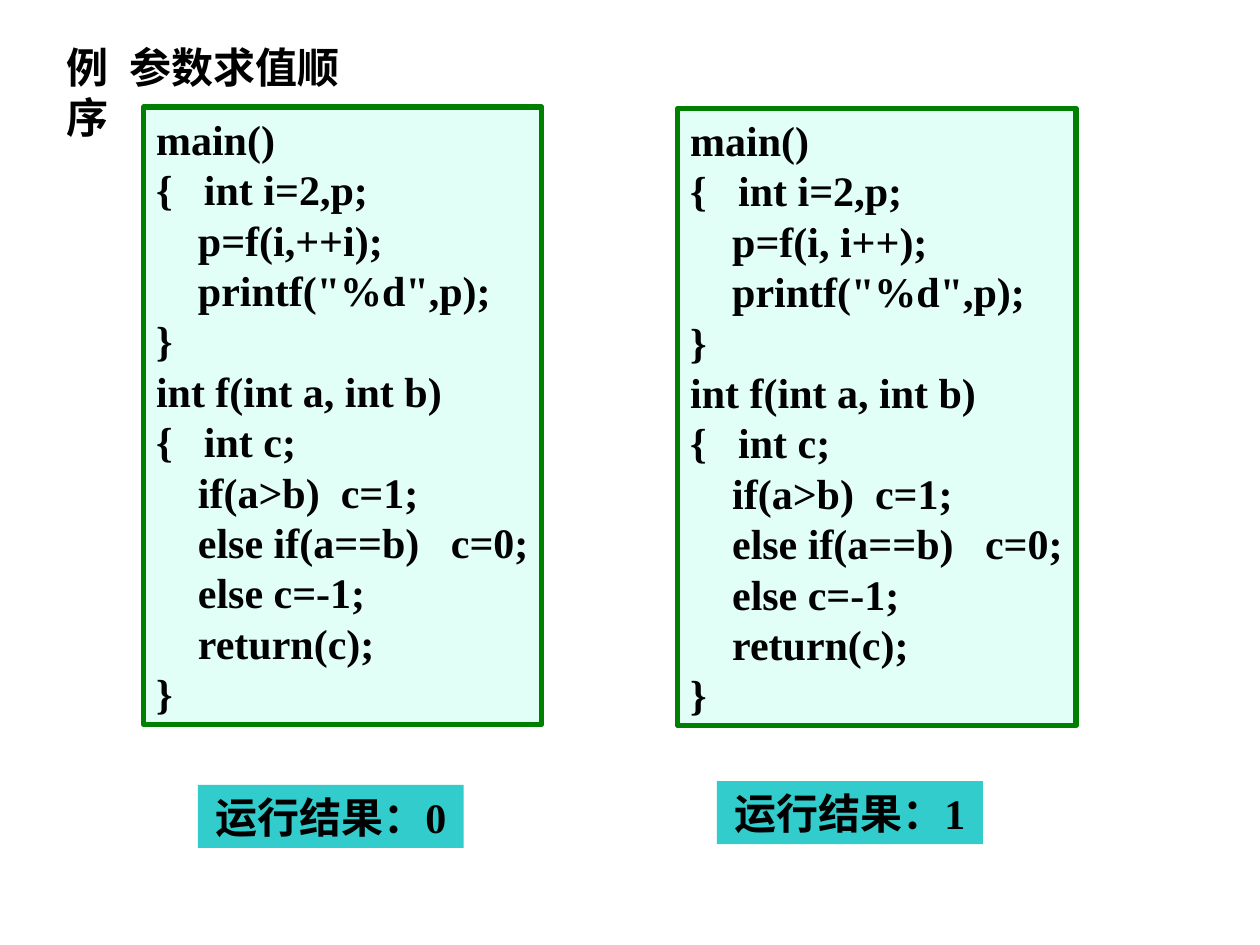
"""Build a slide comparing argument evaluation order in two C programs."""
from lxml import etree
from pptx import Presentation
from pptx import util as u
from pptx.dml.color import RGBColor
from pptx.enum import shapes, text
from pptx.oxml.ns import qn


def rgb(value):
    return RGBColor.from_string(value)


def add_box(s, x, y, w, h, content, fill=None, line=None, centered=False, tab=None):
    sp = s.shapes.add_shape(shapes.MSO_SHAPE.RECTANGLE, *map(u.Inches, (x, y, w, h))) if fill \
        else s.shapes.add_textbox(*map(u.Inches, (x, y, w, h)))
    if fill:
        sp.shadow.inherit = False
        sp.fill.solid()
        sp.fill.fore_color.rgb = rgb(fill)
        if line:
            sp.line.color.rgb = rgb(line)
            sp.line.width = u.Pt(3)
        else:
            sp.line.fill.background()
    tf = sp.text_frame
    tf.word_wrap = False
    tf.auto_size = text.MSO_AUTO_SIZE.SHAPE_TO_FIT_TEXT
    tf.vertical_anchor = text.MSO_ANCHOR.MIDDLE if centered else text.MSO_ANCHOR.TOP
    tf.text = content
    for p in tf.paragraphs:
        p.alignment = text.PP_ALIGN.CENTER if centered else text.PP_ALIGN.LEFT
        if tab:
            tabs = etree.SubElement(p._p.get_or_add_pPr(), qn("a:tabLst"))
            etree.SubElement(tabs, qn("a:tab"), pos=str(u.Inches(tab)), algn="l")
        p.font.name = "Times New Roman"
        p.font.size = u.Pt(24)
        p.font.bold = True
        p.font.color.rgb = rgb("000000")


CODE = """main()
{   int i=2,p;
    p=f(%s);
    printf("%%d",p);
}
int f(int a, int b)
{   int c;
    if(a>b)  c=1;
    else if(a==b)   c=0;
    else c=-1;
    return(c);
}"""

prs = Presentation()
prs.slide_width, prs.slide_height = u.Inches(10), u.Inches(7.5)
s = prs.slides.add_slide(prs.slide_layouts[6])

add_box(s, 0.43, 0.28, 2.68, 0.5, "例\t参数求值顺序", tab=0.5)

examples = [
    ("i,++i", (1.14, 0.85), "0", (1.57, 6.23)),
    ("i, i++", (5.38, 0.86), "1", (5.69, 6.2)),
]
for args, code_at, result, result_at in examples:
    add_box(s, *code_at, 3.16, 4.9, CODE % args, fill="E1FFF7", line="008000")
    add_box(s, *result_at, 2.11, 0.5, f"运行结果：{result}", fill="33CCCC", centered=True)

prs.save("out.pptx")
